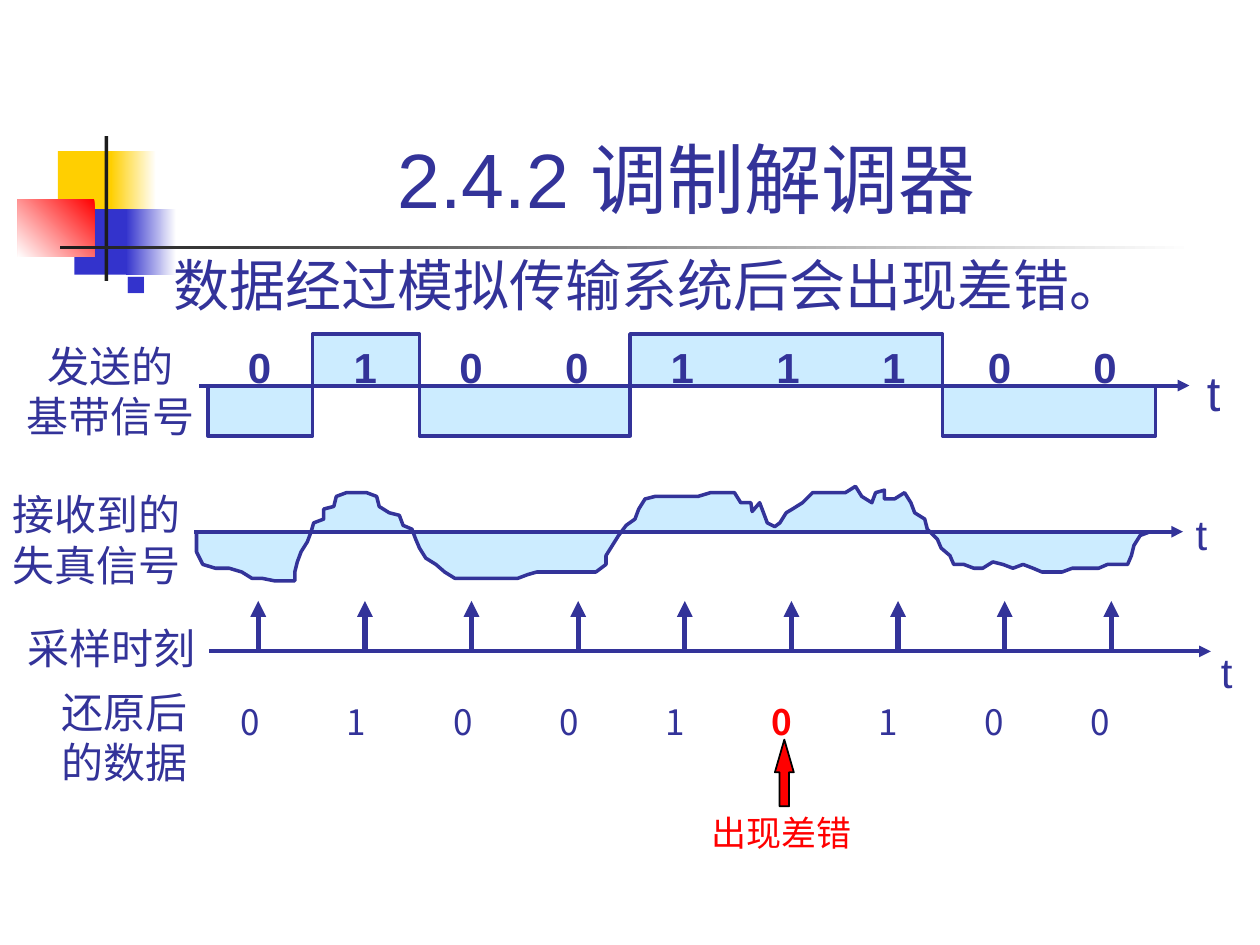
"""Build the slide on data errors after transmission through an analog system."""
from lxml.etree import SubElement
from pptx import Presentation
from pptx.dml.color import RGBColor
from pptx.enum.shapes import MSO_CONNECTOR, MSO_SHAPE
from pptx.enum.text import MSO_ANCHOR, MSO_AUTO_SIZE, PP_ALIGN
from pptx.oxml.ns import qn
from pptx.util import Inches, Pt

NAVY = RGBColor(0x33, 0x33, 0x99)
BLUE = RGBColor(0x33, 0x33, 0xCC)
PALE = RGBColor(0xCC, 0xEC, 0xFF)
GOLD = RGBColor(0xFF, 0xCF, 0x01)
RED = RGBColor(0xFF, 0x00, 0x00)
DARK = RGBColor(0x1C, 0x1C, 0x1C)
BLACK = RGBColor(0x00, 0x00, 0x00)
WHITE = RGBColor(0xFF, 0xFF, 0xFF)
CJK = "Noto Sans CJK SC"

SENT = "010011100"
RECOVERED = "010010100"
LEVEL_EDGES = [165, 248, 333, 500, 748, 917]
AXIS, HIGH, LOW = 306, 265, 346
DISTORTED = [
    (156, 423), (156, 438), (161, 448), (171, 451), (182, 451), (192, 454), (200, 459),
    (208, 459), (218, 461), (234, 461), (234, 454), (236, 446), (239, 438), (244, 430),
    (247, 422), (249, 415), (257, 412), (257, 404), (265, 402), (267, 394), (275, 391),
    (291, 391), (299, 394), (301, 402), (309, 407), (317, 409), (320, 417), (327, 420),
    (330, 428), (333, 435), (338, 443), (346, 448), (353, 454), (361, 459), (411, 459),
    (419, 456), (426, 454), (473, 454), (481, 448), (481, 441), (486, 433), (491, 425),
    (497, 417), (504, 412), (507, 404), (512, 396), (520, 394), (554, 394), (564, 391),
    (583, 391), (588, 399), (596, 399), (597, 406), (603, 399), (606, 407), (609, 415),
    (615, 418), (619, 415), (624, 407), (629, 404), (637, 399), (645, 391), (671, 391),
    (679, 386), (684, 394), (692, 399), (695, 391), (702, 389), (702, 396), (710, 396),
    (718, 391), (723, 399), (726, 407), (734, 412), (736, 420), (744, 428), (747, 435),
    (754, 441), (757, 448), (765, 448), (773, 451), (780, 451), (788, 446), (796, 448),
    (804, 451), (812, 448), (820, 451), (827, 454), (843, 454), (851, 451), (872, 451),
    (879, 448), (895, 448), (898, 441), (900, 433), (905, 425), (913, 422),
]


def spread(first, last, count):
    """Return evenly spaced positions from first to last."""
    return [first + (last - first) * step / (count - 1) for step in range(count)]


def write(frame, lines, size, font=CJK, color=NAVY, bold=False, align=PP_ALIGN.LEFT):
    """Fill a text frame with one formatted paragraph per line."""
    look = {"name": font, "size": Pt(size), "bold": bold}
    for number, line in enumerate(lines):
        paragraph = frame.add_paragraph() if number else frame.paragraphs[0]
        paragraph.alignment = align
        paragraph.line_spacing = Pt(size * 1.2)
        run = paragraph.add_run()
        run.text = line
        for key, value in look.items():
            setattr(run.font, key, value)
        run.font.color.rgb = color
        SubElement(run.font._element, qn("a:ea"), typeface=CJK)


def add_label(slide, left, top, width, height, lines, size, **look):
    """Add an unwrapped text box."""
    label = slide.shapes.add_textbox(*map(Inches, (left, top, width, height)))
    label.text_frame.word_wrap = False
    label.text_frame.auto_size = MSO_AUTO_SIZE.SHAPE_TO_FIT_TEXT
    write(label.text_frame, lines, size, **look)


def add_bits(slide, bits, first, last, top, height, size, font, bold):
    """Add a row of evenly spaced bits, with wrong ones in bold red."""
    for bit, sent, left in zip(bits, SENT, spread(first, last, len(bits))):
        wrong = bit != sent
        add_label(slide, left, top, 0.37, height, [bit], size, font=font,
                  color=RED if wrong else NAVY, bold=bold or wrong)


def add_block(slide, left, top, width, height, color, fade=None):
    """Add a borderless rectangle, plain or fading to white at an angle."""
    block = slide.shapes.add_shape(MSO_SHAPE.RECTANGLE, *map(Inches, (left, top, width, height)))
    block.shadow.inherit = False
    block.line.fill.background()
    if fade is None:
        block.fill.solid()
        block.fill.fore_color.rgb = color
        return
    block.fill.gradient()
    block.fill.gradient_angle = fade
    ends = (WHITE, color) if fade == 180 else (color, WHITE)
    for stop, shade, position in zip(block.fill.gradient_stops, ends, (0, 1)):
        stop.color.rgb = shade
        stop.position = position


def add_arrow(slide, start, end, weight):
    """Add a straight line with a triangle at its end."""
    arrow = slide.shapes.add_connector(MSO_CONNECTOR.STRAIGHT, *map(Inches, start + end))
    arrow.line.color.rgb = NAVY
    arrow.line.width = Pt(weight)
    SubElement(arrow.line._get_or_add_ln(), qn("a:tailEnd"), type="triangle")
    SubElement(arrow._element.spPr, qn("a:effectLst"))


def add_signal(slide, points):
    """Add a filled open outline from points in hundredths of an inch."""
    builder = slide.shapes.build_freeform(*points[0], scale=Inches(0.01))
    builder.add_line_segments(points[1:], close=False)
    signal = builder.convert_to_shape()
    signal.shadow.inherit = False
    signal.fill.solid()
    signal.fill.fore_color.rgb = PALE
    signal.line.color.rgb = NAVY
    signal.line.width = Pt(2)


def baseband_points():
    """Return the square wave that alternates between low and high."""
    points = [(LEVEL_EDGES[0], AXIS)]
    for number, (start, end) in enumerate(zip(LEVEL_EDGES, LEVEL_EDGES[1:])):
        level = HIGH if number % 2 else LOW
        points += [(start, level), (end, level)]
    return points + [(LEVEL_EDGES[-1], AXIS)]


def add_decoration(slide):
    """Add the coloured squares and the crossing rules."""
    add_block(slide, 0.46, 1.2, 0.48, 0.52, GOLD)
    add_block(slide, 0.88, 1.2, 0.36, 0.52, GOLD, 180)
    add_block(slide, 0.59, 1.66, 0.46, 0.52, BLUE)
    add_block(slide, 1, 1.66, 0.4, 0.52, BLUE, 180)
    add_block(slide, 0.14, 1.58, 0.61, 0.46, RED, 225)
    add_block(slide, 0.83, 1.08, 0.03, 1.15, DARK)
    add_block(slide, 0.48, 1.95, 9, 0.03, DARK, 180)


def add_headings(slide):
    """Fill the title and add the bulleted statement."""
    title = slide.shapes.title
    place = {"left": 1.26, "top": 0.23, "width": 8.52, "height": 1.6}
    for key, value in place.items():
        setattr(title, key, Inches(value))
    title.text_frame.vertical_anchor = MSO_ANCHOR.BOTTOM
    write(title.text_frame, ["2.4.2 调制解调器 "], 44, font="Arial", align=PP_ALIGN.CENTER)

    statement = slide.shapes.add_textbox(*map(Inches, (0.9, 1.94, 8.74, 0.79))).text_frame
    statement.word_wrap = True
    props = statement.paragraphs[0]._p.get_or_add_pPr()
    props.set("marL", str(Inches(0.38)))
    props.set("indent", str(-Inches(0.38)))
    SubElement(SubElement(props, qn("a:buClr")), qn("a:srgbClr"), val=str(BLUE))
    SubElement(props, qn("a:buSzPct"), val="60000")
    SubElement(props, qn("a:buFont"), typeface="Arial")
    SubElement(props, qn("a:buChar"), char="■")
    write(statement, ["数据经过模拟传输系统后会出现差错。"], 32, font="Arial")


def add_error_mark(slide):
    """Add the red arrow and caption under the wrong bit."""
    pointer = slide.shapes.add_shape(MSO_SHAPE.UP_ARROW, *map(Inches, (6.15, 5.87, 0.15, 0.53)))
    pointer.shadow.inherit = False
    pointer.adjustments[1] = 1.73
    pointer.fill.solid()
    pointer.fill.fore_color.rgb = RED
    pointer.line.color.rgb = BLACK
    pointer.line.width = Pt(1)
    add_label(slide, 5.55, 6.39, 1.31, 0.43, ["出现差错"], 20, font="Times New Roman", color=RED)


def main():
    """Build and save the slide."""
    deck = Presentation()
    deck.slide_width, deck.slide_height = Inches(10), Inches(7.5)
    slide = deck.slides.add_slide(deck.slide_layouts[5])
    add_decoration(slide)
    add_headings(slide)

    add_error_mark(slide)
    add_bits(slide, RECOVERED, 1.81, 8.56, 5.51, 0.43, 20, CJK, False)
    add_label(slide, 0.39, 5.4, 1.2, 0.9, ["还原后", "的数据"], 24)

    add_signal(slide, DISTORTED)
    add_label(slide, 9.39, 3.99, 0.29, 0.5, ["t"], 24, font="Arial")
    add_label(slide, 0, 3.83, 1.53, 0.9, ["接收到的", "失真信号"], 24, align=PP_ALIGN.CENTER)
    add_arrow(slide, (1.54, 4.22), (9.39, 4.22), 2.25)

    add_signal(slide, baseband_points())
    add_bits(slide, SENT, 1.87, 8.58, 2.66, 0.5, 24, "Arial", True)
    add_label(slide, 9.48, 2.83, 0.31, 0.56, ["t"], 28, font="Arial")
    add_label(slide, 0.11, 2.65, 1.53, 0.9, ["发送的", "基带信号"], 24, align=PP_ALIGN.CENTER)
    add_arrow(slide, (1.58, 3.06), (9.44, 3.06), 2.25)

    add_arrow(slide, (1.66, 5.17), (9.61, 5.17), 2.25)
    add_label(slide, 9.59, 5.08, 0.29, 0.5, ["t"], 24, font="Arial")
    add_label(slide, 0.12, 4.89, 1.53, 0.5, ["采样时刻"], 24)
    for moment in spread(2.05, 8.82, len(SENT)):
        add_arrow(slide, (moment, 5.17), (moment, 4.77), 3)

    deck.save("out.pptx")


if __name__ == "__main__":
    main()
